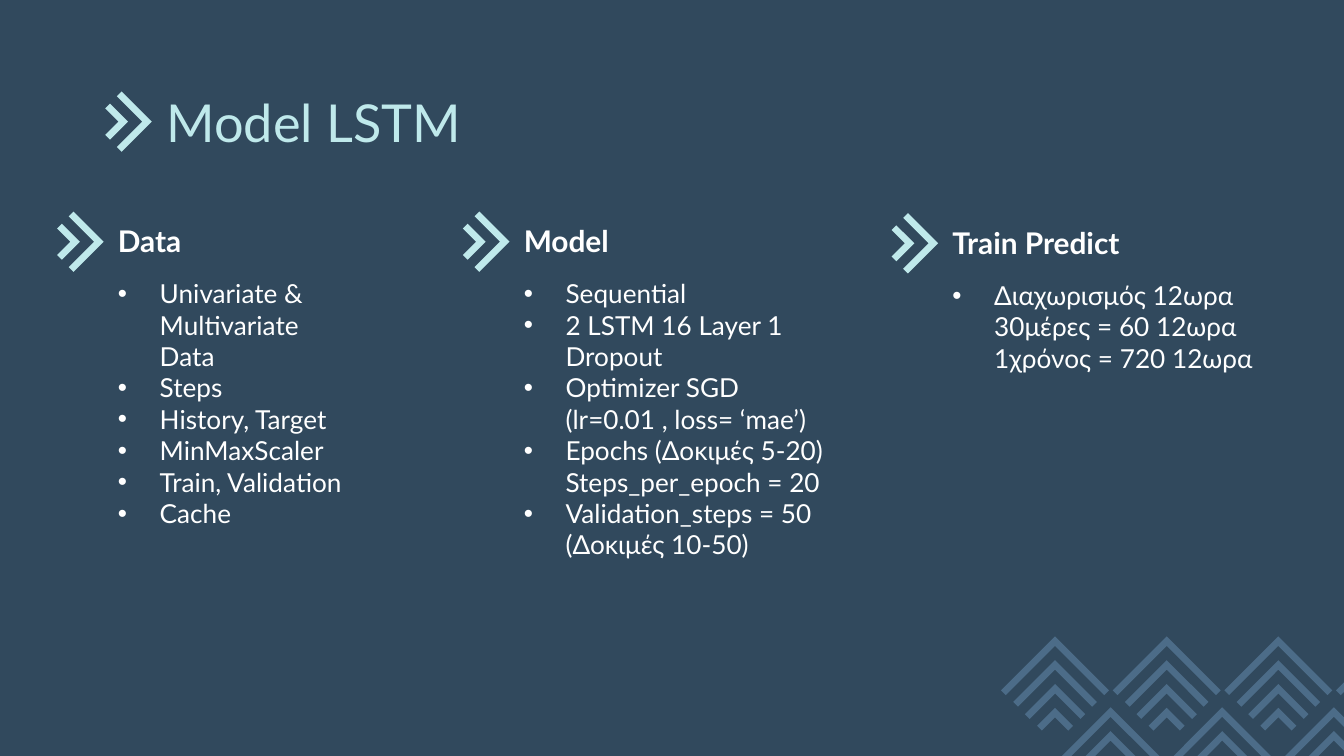
from copy import deepcopy

from lxml import etree
from pptx import Presentation
from pptx import util as u
from pptx.dml.color import RGBColor
from pptx.enum import text
from pptx.oxml.ns import qn

NAVY, STEEL, MINT, WHITE = "31495D", "4C6C88", "BFE9EB", "FFFFFF"
THICKNESS = 0.09
NEST_STEP = 0.45
ARMS = [1.02, 0.79, 0.57, 0.34]

deck = Presentation()
deck.slide_width, deck.slide_height = u.Cm(25.4), u.Cm(14.29)
page = deck.slides.add_slide(deck.slide_layouts[6])
page.background.fill.solid()
page.background.fill.fore_color.rgb = RGBColor.from_string(NAVY)


def add_chevron(x, y, arm, color, upward=False):
    """Draw a chevron with its tip at (x, y), pointing right or up."""
    t = THICKNESS
    outline = [(0, 0), (arm, -arm), (arm + t, t - arm), (2 * t, 0),
               (arm + t, arm - t), (arm, arm)]
    points = [(u.Cm(x + side), u.Cm(y + back)) if upward
              else (u.Cm(x - back), u.Cm(y + side)) for back, side in outline]
    builder = page.shapes.build_freeform(*points[0], scale=1.0)
    builder.add_line_segments(points[1:], close=True)
    shape = builder.convert_to_shape()
    shape.shadow.inherit = False
    shape.fill.solid()
    shape.fill.fore_color.rgb = RGBColor.from_string(color)
    shape.line.fill.background()


def add_text(left, top, width, height, lines, size, color, bold=False, bullets=False):
    box = page.shapes.add_textbox(u.Cm(left), u.Cm(top), u.Cm(width), u.Cm(height))
    frame = box.text_frame
    frame.word_wrap = True
    frame.vertical_anchor = text.MSO_ANCHOR.TOP if bullets else text.MSO_ANCHOR.MIDDLE
    frame.margin_left = frame.margin_right = u.Cm(0.25)
    frame.margin_top = frame.margin_bottom = u.Cm(0.25)
    for i, line in enumerate(lines):
        para = frame.paragraphs[0] if i == 0 else frame.add_paragraph()
        para.text = line
        for span in para.runs:
            span.font.name = "Lato"
            span.font.size = u.Pt(size)
            span.font.bold = bold
            span.font.color.rgb = RGBColor.from_string(color)
        # Line breaks take the size of the text around them
        for line_break in para._p.findall(qn("a:br")):
            line_break.append(deepcopy(para.runs[0]._r.rPr))
        if bullets:
            props = para._p.get_or_add_pPr()
            props.set("marL", str(u.Cm(0.79)))
            props.set("indent", str(u.Cm(-0.79)))
            bullet_color = etree.SubElement(props, qn("a:buClr"))
            etree.SubElement(bullet_color, qn("a:srgbClr"), val=color)
            etree.SubElement(props, qn("a:buFont"), typeface="Arial")
            etree.SubElement(props, qn("a:buChar"), char="•")


# Mountain pattern: first tip x, tip y, nested chevrons in each peak
mountain_rows = [(19.94, 12.03, [4, 4, 4, 1]), (20.99, 13.37, [2, 2, 2])]
for first_x, tip_y, depths in mountain_rows:
    for peak, depth in enumerate(depths):
        for level in range(depth):
            add_chevron(first_x + 2.11 * peak, tip_y + NEST_STEP * level,
                        ARMS[level], STEEL, upward=True)

add_text(2.9, 1.5, 20.68, 1.6, ["Model LSTM"], 28, MINT)

# Tip x, tip y, body width, heading, bullets
columns = [
    (1.96, 4.57, 5.08, "Data",
     ["Univariate & Multivariate Data", "Steps", "History, Target",
      "MinMaxScaler", "Train, Validation", "Cache"]),
    (9.63, 4.57, 6.53, "Model",
     ["Sequential", "2 LSTM 16 Layer 1 Dropout",
      "Optimizer SGD (lr=0.01 , loss= ‘mae’)",
      "Epochs (Δοκιμές 5-20)\nSteps_per_epoch = 20",
      "Validation_steps = 50 (Δοκιμές 10-50)"]),
    (17.73, 4.6, 6.71, "Train Predict",
     ["Διαχωρισμός 12ωρα\n30μέρες = 60 12ωρα\n1χρόνος = 720 12ωρα"]),
]
for tip_x, tip_y, width, heading, items in columns:
    add_text(tip_x + 0.02, tip_y - 0.58, 5.08, 1.12, [heading], 16, WHITE, bold=True)
    add_text(tip_x + 0.02, tip_y + 0.43, width, 2.24, items, 14, WHITE, bullets=True)

# Double arrows beside the title and the column headings
for tip_x, tip_y in [(2.87, 2.3)] + [column[:2] for column in columns]:
    for level, arm in enumerate(ARMS[2:]):
        add_chevron(tip_x - NEST_STEP * level, tip_y, arm, MINT)

deck.save("out.pptx")
